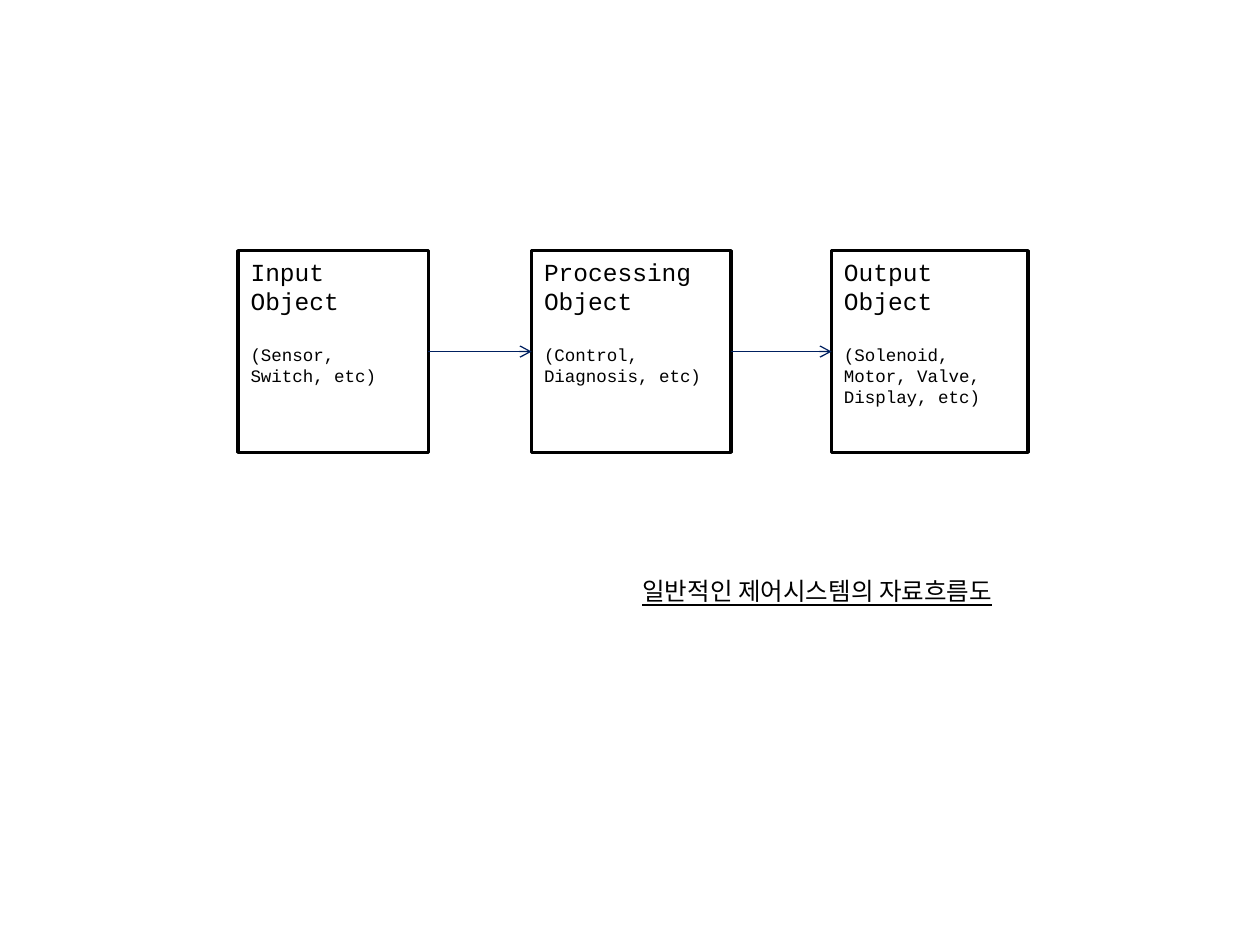
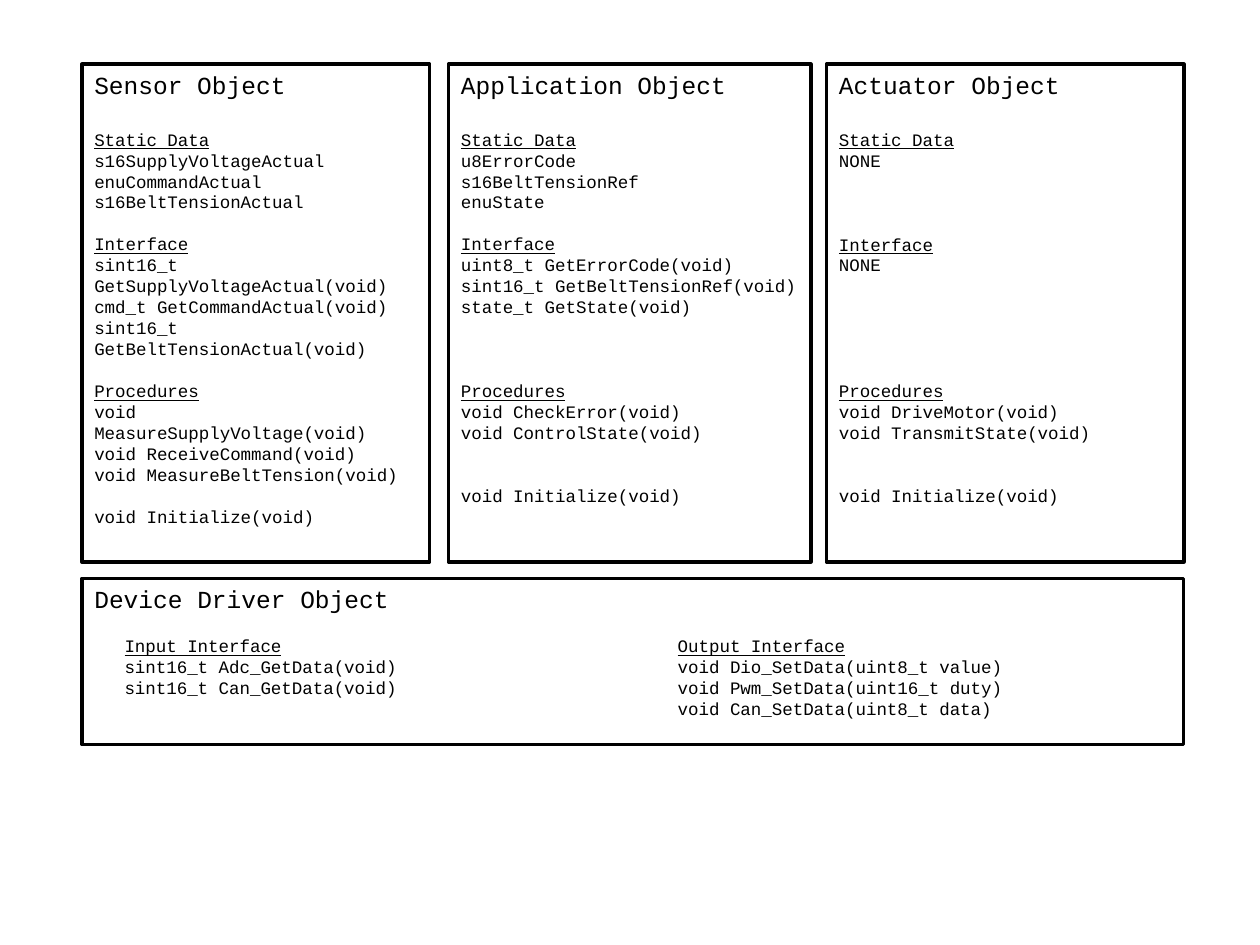
from itertools import pairwise

from lxml import etree
from pptx import Presentation
from pptx.dml.color import RGBColor
from pptx.enum import shapes, text
from pptx.oxml import ns
from pptx.util import Pt

BLACK = RGBColor(0x00, 0x00, 0x00)
WHITE = RGBColor(0xFF, 0xFF, 0xFF)
NAVY = RGBColor(0x00, 0x20, 0x60)
MONO = "Courier New"
KOREAN = "Noto Sans CJK KR"
HEADING, BODY = 14, 10
HEADING_LEADING, BODY_LEADING = 16.6, 12
BLANK_LAYOUT = 6

STAGES = [  # left, width, name, examples
    (136.1, 108.7, "Input Object", "(Sensor, Switch, etc)"),
    (303.8, 113.8, "Processing Object", "(Control, Diagnosis, etc)"),
    (475.2, 112.3, "Output Object", "(Solenoid, Motor, Valve, Display, etc)"),
]

# Each section: empty rows above it, heading, members
OBJECTS = [
    (46.8, 198.7, "Sensor Object", [
        (0, "Static Data", ["s16SupplyVoltageActual", "enuCommandActual",
                            "s16BeltTensionActual"]),
        (1, "Interface", ["sint16_t GetSupplyVoltageActual(void)",
                          "cmd_t GetCommandActual(void)",
                          "sint16_t GetBeltTensionActual(void)"]),
        (1, "Procedures", ["void MeasureSupplyVoltage(void)",
                           "void ReceiveCommand(void)",
                           "void MeasureBeltTension(void)"]),
    ], 1),
    (256.3, 207, "Application Object", [
        (0, "Static Data", ["u8ErrorCode", "s16BeltTensionRef", "enuState"]),
        (1, "Interface", ["uint8_t GetErrorCode(void)",
                          "sint16_t GetBeltTensionRef(void)",
                          "state_t GetState(void)"]),
        (3, "Procedures", ["void CheckError(void)",
                           "void ControlState(void)"]),
    ], 2),
    (472.3, 204.3, "Actuator Object", [
        (0, "Static Data", ["NONE"]),
        (3, "Interface", ["NONE"]),
        (5, "Procedures", ["void DriveMotor(void)",
                           "void TransmitState(void)"]),
    ], 2),
]

DRIVER_INTERFACES = [
    (64.1, "Input Interface", ["sint16_t Adc_GetData(void)",
                               "sint16_t Can_GetData(void)"]),
    (380.2, "Output Interface", ["void Dio_SetData(uint8_t value)",
                                 "void Pwm_SetData(uint16_t duty)",
                                 "void Can_SetData(uint8_t data)"]),
]


def write(frame, words, size=BODY, font=MONO, underline=False,
          leading=BODY_LEADING, before=0):
    """Add one paragraph, filling the frame's first one if still empty."""
    para = frame.paragraphs[0] if not frame.text else frame.add_paragraph()
    para.alignment = text.PP_ALIGN.LEFT
    para.line_spacing = Pt(leading)
    para.space_before = Pt(before)
    span = para.add_run()
    span.text = words
    span.font.size = Pt(size)
    span.font.underline = underline
    span.font.color.rgb = BLACK
    span.font.name = font
    east_asian = etree.SubElement(span.font._element, ns.qn("a:ea"))
    east_asian.set("typeface", font)


def write_section(frame, heading, members, before=0):
    write(frame, heading, underline=True, before=before)
    for member in members:
        write(frame, member)


class Diagram:
    """The deck, its box and arrow style, and the current page."""

    def __init__(self):
        self.deck = Presentation()
        self.deck.slide_width, self.deck.slide_height = Pt(720), Pt(540)
        self.page = None

    def add_page(self):
        layout = self.deck.slide_layouts[BLANK_LAYOUT]
        self.page = self.deck.slides.add_slide(layout)

    def box(self, left, top, width, height, title=None):
        """Add a white box; a titled one also gets the black frame."""
        box = self.page.shapes.add_shape(
            shapes.MSO_SHAPE.RECTANGLE, Pt(left), Pt(top), Pt(width), Pt(height))
        box.shadow.inherit = False
        box.fill.solid()
        box.fill.fore_color.rgb = WHITE
        frame = box.text_frame
        frame.word_wrap = True
        frame.vertical_anchor = text.MSO_ANCHOR.TOP
        if title:
            box.line.color.rgb = BLACK
            box.line.width = Pt(2)
            write(frame, title, size=HEADING, leading=HEADING_LEADING)
        else:
            box.line.fill.background()
        return box

    def arrow(self, source, target):
        """Join the right side of one box to the left side of the next."""
        arrow = self.page.shapes.add_connector(
            shapes.MSO_CONNECTOR.STRAIGHT, 0, 0, 0, 0)
        arrow.begin_connect(source, 3)
        arrow.end_connect(target, 1)
        arrow.line.color.rgb = NAVY
        arrow.line.width = Pt(0.75)
        etree.SubElement(arrow.line._get_or_add_ln(), ns.qn("a:tailEnd"), type="arrow")
        etree.SubElement(arrow._element.spPr, ns.qn("a:effectLst"))

    def caption(self, left, top, width, height, words):
        box = self.page.shapes.add_textbox(Pt(left), Pt(top), Pt(width), Pt(height))
        box.text_frame.word_wrap = True
        write(box.text_frame, words, size=HEADING, font=KOREAN,
              underline=True, leading=18)


def build_data_flow(diagram):
    diagram.add_page()
    stages = []
    for left, width, name, examples in STAGES:
        stage = diagram.box(left, 143.3, width, 115.2, name)
        write(stage.text_frame, examples, before=HEADING_LEADING)
        stages.append(stage)
    for source, target in pairwise(stages):
        diagram.arrow(source, target)
    diagram.caption(360, 324.7, 301.7, 24.5, "일반적인 제어시스템의 자료흐름도")


def build_object_model(diagram):
    diagram.add_page()
    for left, width, name, sections, rows_before_init in OBJECTS:
        frame = diagram.box(left, 36.7, width, 284.4, name).text_frame
        for rows, heading, members in sections:
            gap = rows * BODY_LEADING or HEADING_LEADING
            write_section(frame, heading, members, before=gap)
        write(frame, "void Initialize(void)",
              before=rows_before_init * BODY_LEADING)

    diagram.box(46.8, 330.5, 629.5, 95, "Device Driver Object")
    for left, heading, members in DRIVER_INTERFACES:
        panel = diagram.box(left, 359.3, 278.6, 57.6)
        write_section(panel.text_frame, heading, members)


def main():
    diagram = Diagram()
    build_data_flow(diagram)
    build_object_model(diagram)
    diagram.deck.save("out.pptx")


if __name__ == "__main__":
    main()
